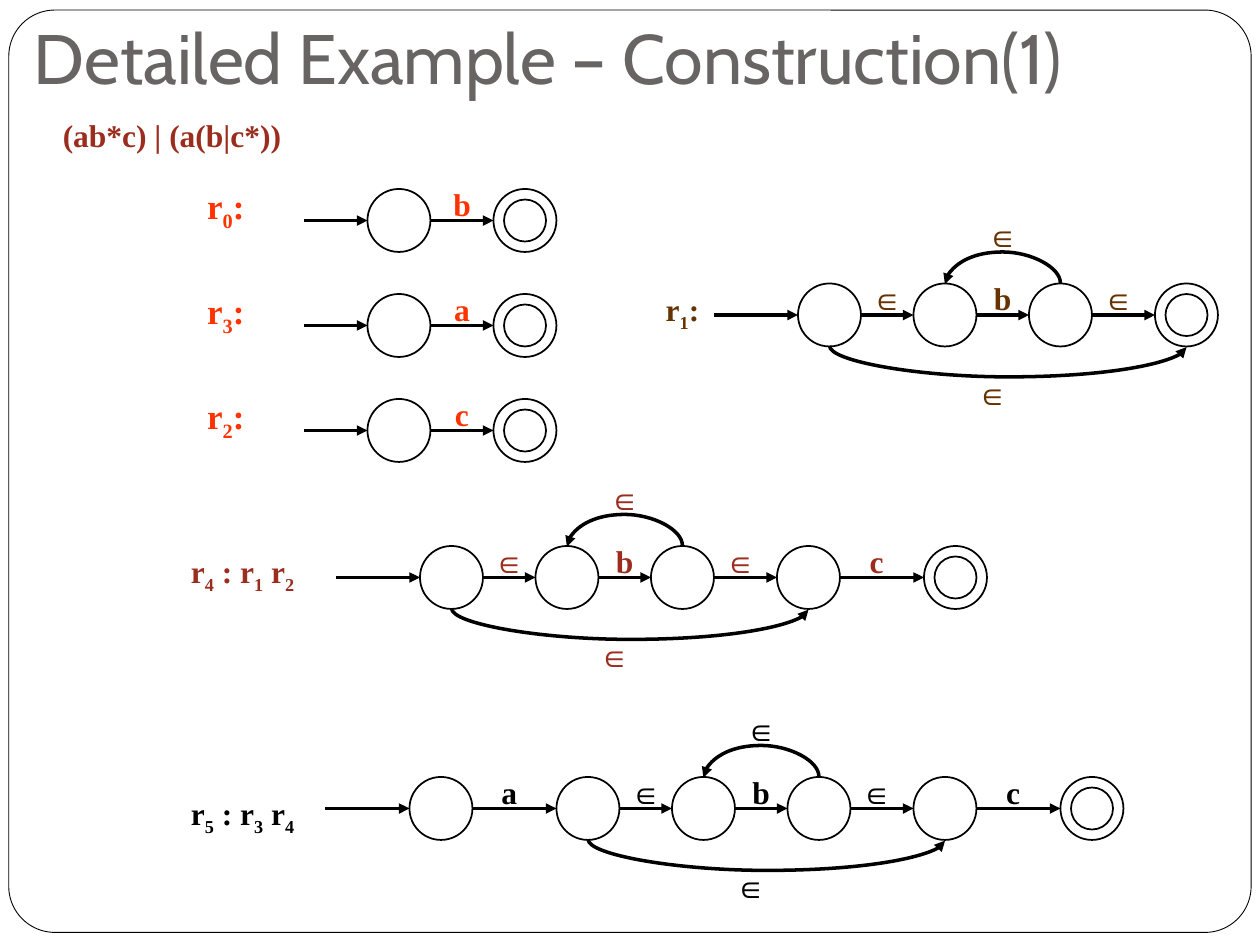
from itertools import groupby
from math import ceil

from lxml.etree import SubElement
from pptx import Presentation
from pptx.dml.color import RGBColor
from pptx.enum.shapes import MSO_CONNECTOR as Link, MSO_SHAPE as Shape
from pptx.enum.text import MSO_ANCHOR as Anchor, PP_ALIGN as Align
from pptx.oxml.ns import qn
from pptx.util import Inches, Pt

BLACK = RGBColor(0x00, 0x00, 0x00)
WHITE = RGBColor(0xFF, 0xFF, 0xFF)
GRAY = RGBColor(0x69, 0x64, 0x64)
ORANGE = RGBColor(0xFF, 0x33, 0x00)
BROWN = RGBColor(0x66, 0x33, 0x00)
BRICK = RGBColor(0x9B, 0x2D, 0x1F)

# Automata are laid out in grid units of 1/12 inch.
STATE = 6
LABEL_WIDTH, LABEL_HEIGHT = 7, 4.8
ARC_DEPTH = 0.25
ARC_THICKNESS = 0.01


def grid(units):
    return Inches(units / 12)


class AutomatonSlide:
    title_font = "Cabin"
    body_font = "Times New Roman"

    def __init__(self, slide):
        self.shapes = slide.shapes

    def frame(self):
        border = self.shapes.add_shape(Shape.ROUNDED_RECTANGLE, Inches(0.07), Inches(0.08),
                                       Inches(9.86), Inches(7.32))
        border.adjustments[0] = 0.05
        border.shadow.inherit = False
        border.fill.solid()
        border.fill.fore_color.rgb = WHITE
        border.line.color.rgb = BLACK
        border.line.width = Pt(0.5)

    def text(self, words, left, top, width, height, size, color,
             align=Align.LEFT, font=None, bold=True, subscripts=False, wrap=True):
        """Add a text box; with subscripts, every digit is lowered."""
        box = self.shapes.add_textbox(left, top, width, height)
        box.text_frame.word_wrap = wrap
        paragraph = box.text_frame.paragraphs[0]
        paragraph.alignment = align
        if subscripts:
            for is_digit, characters in groupby(words, str.isdigit):
                part = paragraph.add_run()
                part.text = "".join(characters)
                if is_digit:
                    part._r.get_or_add_rPr().set("baseline", "-25000")
        else:
            paragraph.text = words
        for run in paragraph.runs:
            run.font.name = font or self.body_font
            run.font.size = Pt(size)
            run.font.bold = bold
            run.font.color.rgb = color
        return box.text_frame

    def label(self, symbol, left, top, color):
        self.text(symbol, grid(left), grid(top), grid(LABEL_WIDTH), grid(LABEL_HEIGHT),
                  18, color, Align.CENTER)

    def circle(self, left, top, diameter):
        ring = self.shapes.add_shape(Shape.OVAL, grid(left), grid(top),
                                     grid(diameter), grid(diameter))
        ring.shadow.inherit = False
        ring.fill.background()
        ring.line.color.rgb = BLACK
        ring.line.width = Pt(1)

    def arrow(self, kind, *ends):
        connector = self.shapes.add_connector(kind, *ends)
        connector.line.color.rgb = BLACK
        connector.line.width = Pt(2)
        SubElement(connector.line._get_or_add_ln(), qn("a:tailEnd"), type="triangle")
        SubElement(connector._element.spPr, qn("a:effectLst"))
        return connector

    def arc(self, start, end, y):
        """Bow below the states when running right, above them when running left."""
        middle, half_span = grid((start + end) / 2), grid((end - start) / 2)
        height = grid(y)
        # Drawn upright, then turned a quarter so that it bows up or down.
        half_thickness = Inches(ARC_THICKNESS / 2)
        curve = self.arrow(Link.CURVE, middle + half_thickness, height - half_span,
                           middle - half_thickness, height + half_span)
        properties = curve._element.spPr
        properties.find(qn("a:xfrm")).set("rot", "16200000")
        guides = properties.find(qn("a:prstGeom")).get_or_add_avLst()
        bow = round(ARC_DEPTH / ARC_THICKNESS * 100000) * (1 if end > start else -1)
        SubElement(guides, qn("a:gd"), name="adj1", fmla=f"val {bow}")

    def automaton(self, top, states, symbols, color, entry=8, star=None, label_shift=0):
        """Draw a chain of states; star is the index where a Kleene loop begins."""
        axis = top + STATE / 2
        for left in states:
            self.circle(left, top, STATE)
        self.circle(states[-1] + 1, top + 1, STATE - 2)
        self.arrow(Link.STRAIGHT, grid(states[0] - entry), grid(axis),
                   grid(states[0]), grid(axis))
        for left, target, symbol in zip(states, states[1:], symbols):
            edge = left + STATE
            self.arrow(Link.STRAIGHT, grid(edge), grid(axis), grid(target), grid(axis))
            label_left = edge + ceil((target - edge) / 2) - 4 + label_shift
            self.label(symbol, label_left, top - 1, color)
        if star is not None:
            first, inner, outer, last = (left + STATE / 2 for left in states[star:star + 4])
            self.arc(first, last, top + STATE)
            self.arc(outer, inner, top)
            self.label("∈", (first + last) / 2 - 5, top + 8, color)
            self.label("∈", (inner + outer - LABEL_WIDTH) / 2, top - 7, color)

    def name(self, words, left, top, width, color, size=18, align=Align.CENTER):
        self.text(words, grid(left), grid(top), grid(width), grid(LABEL_HEIGHT),
                  size, color, align, subscripts=True)


def main():
    deck = Presentation()
    deck.slide_width, deck.slide_height = Inches(10), Inches(7.5)
    page = AutomatonSlide(deck.slides.add_slide(deck.slide_layouts[6]))

    page.frame()
    title = page.text("Detailed Example – Construction(1)", Inches(0.17), Inches(-0.17),
                      Inches(8.83), Inches(1), 40, GRAY, font=page.title_font, bold=False)
    title.vertical_anchor = Anchor.BOTTOM
    page.text("(ab*c) | (a(b|c*))", Inches(0.4), Inches(0.87), Inches(2.03), Inches(0.4),
              18, BRICK, wrap=False)

    for row, (name, symbol) in enumerate([("r0:", "b"), ("r3:", "a"), ("r2:", "c")]):
        top = 18 + 10 * row
        page.name(name, 17, top - 1, 9, ORANGE, size=20)
        page.automaton(top, [35, 47], symbol, ORANGE, entry=6, label_shift=0.5)

    page.name("r1:", 61, 27, 8, BROWN)
    page.automaton(27, [76, 87, 98, 110], "∈b∈", BROWN, star=0)

    page.name("r4 : r1 r2", 17, 52, 17, BRICK, align=Align.LEFT)
    page.automaton(52, [40, 51, 62, 74, 88], "∈b∈c", BRICK, star=0)

    page.name("r5 : r3 r4", 17, 75, 17, BLACK, align=Align.LEFT)
    page.automaton(74, [39, 53, 64, 75, 87, 101], "a∈b∈c", BLACK, star=1)

    deck.save("out.pptx")


if __name__ == "__main__":
    main()
